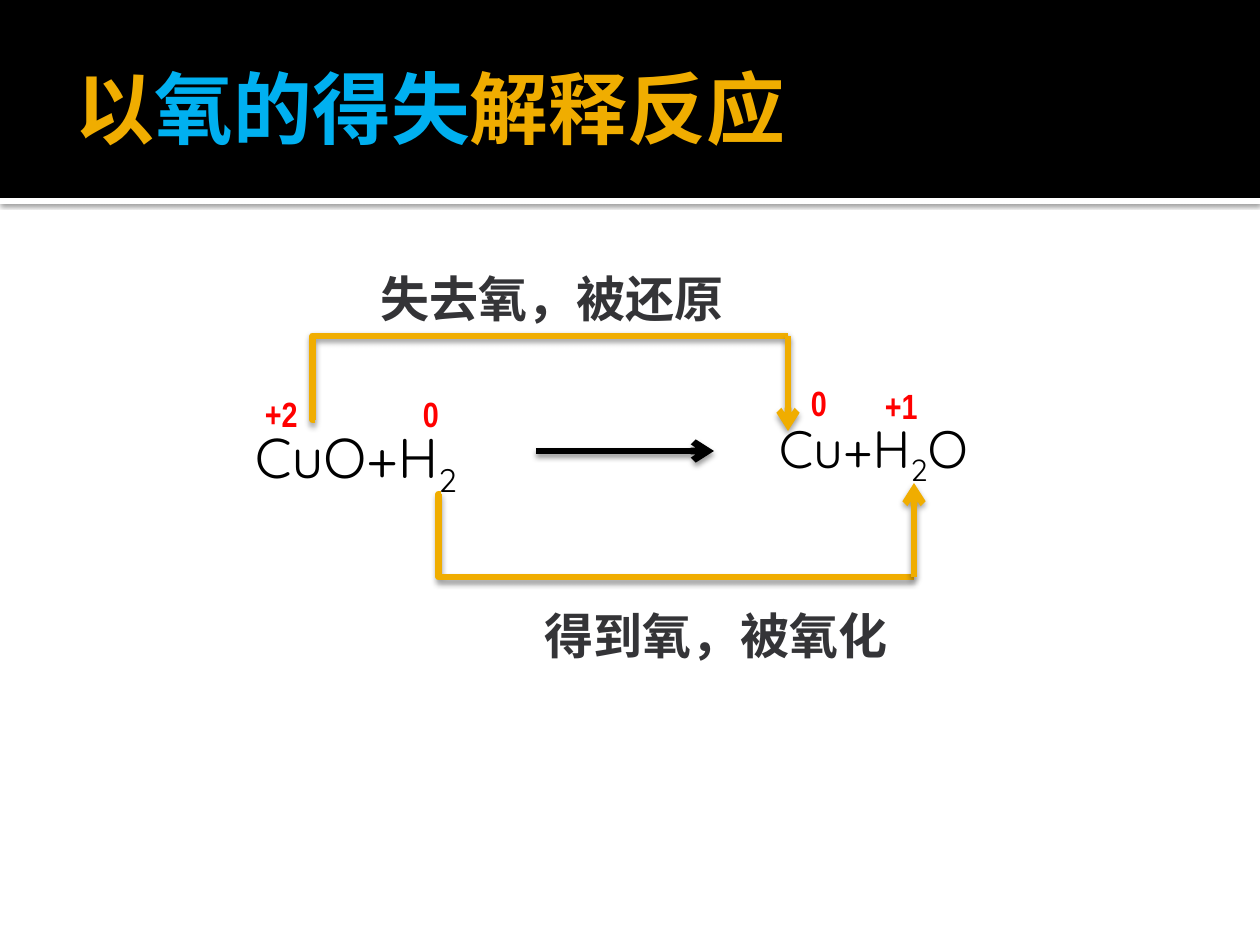
from dataclasses import dataclass

from lxml import etree
from pptx import Presentation
from pptx.dml.color import RGBColor
from pptx.enum.shapes import MSO_CONNECTOR, MSO_SHAPE
from pptx.enum.text import MSO_ANCHOR, MSO_AUTO_SIZE
from pptx.oxml.ns import qn
from pptx.util import Pt

STRAIGHT, ELBOW = MSO_CONNECTOR.STRAIGHT, MSO_CONNECTOR.ELBOW
RECTANGLE = MSO_SHAPE.RECTANGLE
TOP, MIDDLE = MSO_ANCHOR.TOP, MSO_ANCHOR.MIDDLE
GROW, FIXED = MSO_AUTO_SIZE.SHAPE_TO_FIT_TEXT, MSO_AUTO_SIZE.NONE
EMU_PER_PX = 914400 / 126


@dataclass(frozen=True)
class Theme:
    black: str = "000000"
    white: str = "FFFFFF"
    gold: str = "F0AD00"
    blue: str = "00B0F0"
    gray: str = "343437"
    red: str = "FF0000"
    heading_font: str = "Cabin"
    formula_font: str = "Quicksand"
    number_font: str = "Arial Narrow"
    title_size: int = 45
    reactant_size: int = 32
    product_size: int = 30
    note_size: int = 28
    number_size: int = 20
    line_width: float = 3.8


T = Theme()
TITLE = {"name": T.heading_font, "size": Pt(T.title_size), "bold": True}
NOTE = {"name": T.heading_font, "size": Pt(T.note_size), "bold": True}
NUMBER = {"name": T.number_font, "size": Pt(T.number_size), "bold": True}
REACTANT = {"name": T.formula_font, "size": Pt(T.reactant_size)}
PRODUCT = {"name": T.formula_font, "size": Pt(T.product_size)}


def px(n):
    return round(n * EMU_PER_PX)


def rgb(color):
    return RGBColor.from_string(color)


def add_shadow(effects, alpha, blur, dist):
    """Put a black shadow, falling straight down, into an effect list."""
    shadow = etree.SubElement(effects, qn("a:outerShdw"), blurRad=str(Pt(blur)),
                              dist=str(Pt(dist)), dir="5400000", rotWithShape="0")
    color = etree.SubElement(shadow, qn("a:srgbClr"), val=T.black)
    etree.SubElement(color, qn("a:alpha"), val=str(alpha * 1000))


def add_band(shapes, top, height, color):
    s = shapes.add_shape(RECTANGLE, 0, px(top), px(1260), px(height))
    s.shadow.inherit = False
    s.fill.solid()
    s.fill.fore_color.rgb = rgb(color)
    s.line.fill.background()
    return s


def add_text(shapes, box, runs, style, anchor=TOP, insets=(13, 6, 13, 6),
             wrap=True, size=GROW):
    """Add one paragraph; each run is (text, color, baseline percent)."""
    s = shapes.add_textbox(*map(px, box))
    tf = s.text_frame
    left, top, right, bottom = map(px, insets)
    frame = {"word_wrap": wrap, "auto_size": size, "vertical_anchor": anchor,
             "margin_left": left, "margin_top": top,
             "margin_right": right, "margin_bottom": bottom}
    for key, value in frame.items():
        setattr(tf, key, value)
    p = tf.paragraphs[0]
    for text, color, baseline in runs:
        r = p.add_run()
        r.text = text
        for key, value in style.items():
            setattr(r.font, key, value)
        r.font.color.rgb = rgb(color)
        if baseline:
            r._r.get_or_add_rPr().set("baseline", str(baseline * 1000))
    return p


def add_line(shapes, start, end, color, kind=STRAIGHT, arrow=False, blur=3.5):
    s = shapes.add_connector(kind, *map(px, start + end))
    s.line.color.rgb = rgb(color)
    s.line.width = Pt(T.line_width)
    if arrow:
        etree.SubElement(s.line._get_or_add_ln(), qn("a:tailEnd"), type="arrow")
    sp_pr = s._element.spPr
    add_shadow(etree.SubElement(sp_pr, qn("a:effectLst")), 38, blur, 2)
    if kind == ELBOW:
        # Bend at the starting edge, so that the line makes a single corner
        guides = sp_pr.find(qn("a:prstGeom")).get_or_add_avLst()
        etree.SubElement(guides, qn("a:gd"), name="adj1", fmla="val -500")


def add_bracket(shapes, start, corner, tip):
    """Group an elbow line with the arrow that drops from its corner."""
    group = shapes.add_group_shape().shapes
    add_line(group, start, corner, T.gold, kind=ELBOW)
    add_line(group, corner, tip, T.gold, arrow=True)


def main():
    prs = Presentation()
    prs.slide_width, prs.slide_height = px(1260), px(945)
    shapes = prs.slides.add_slide(prs.slide_layouts[6]).shapes

    # Header
    rule = add_band(shapes, 198, 6, T.white)
    add_shadow(rule._element.spPr.find(qn("a:effectLst")), 60, 2.5, 0.8)
    add_band(shapes, 0, 198, T.black)
    add_text(shapes, (63, 21, 1134, 173),
             [("以", T.gold, 0), ("氧的得失", T.blue, 0), ("解释反应", T.gold, 0)],
             TITLE, anchor=MIDDLE, insets=(13, 6, 6, 6), size=FIXED)

    # Equation
    p = add_text(shapes, (231, 410, 504, 94),
                 [("CuO+H", T.black, 0), ("2", T.black, -25)],
                 REACTANT, insets=(8, 13, 13, 6), size=FIXED)
    for key, value in {"marL": 60, "indent": -44}.items():
        p._p.get_or_add_pPr().set(key, str(px(value)))
    add_line(shapes, (536, 451), (714, 451), T.black, arrow=True, blur=3.1)
    add_text(shapes, (766, 410, 252, 77),
             [("Cu+H", T.black, 0), ("2", T.black, -25), ("O", T.black, 0)], PRODUCT)

    # Oxygen transfer brackets
    add_bracket(shapes, (315, 420), (788, 336), (788, 431))
    add_bracket(shapes, (441, 494), (914, 577), (914, 483))

    # Notes on the brackets
    for left, top, text in [(368, 262, "失去氧，被还原"), (532, 599, "得到氧，被氧化")]:
        add_text(shapes, (left, top, 372, 72), [(text, T.gray, 0)], NOTE, wrap=False)

    # Oxidation numbers
    for left, top, text in [(252, 386, "+2"), (798, 375, "0"),
                            (410, 386, "0"), (872, 378, "+1")]:
        add_text(shapes, (left, top, 63, 55), [(text, T.red, 0)], NUMBER)

    prs.save("out.pptx")


if __name__ == "__main__":
    main()
